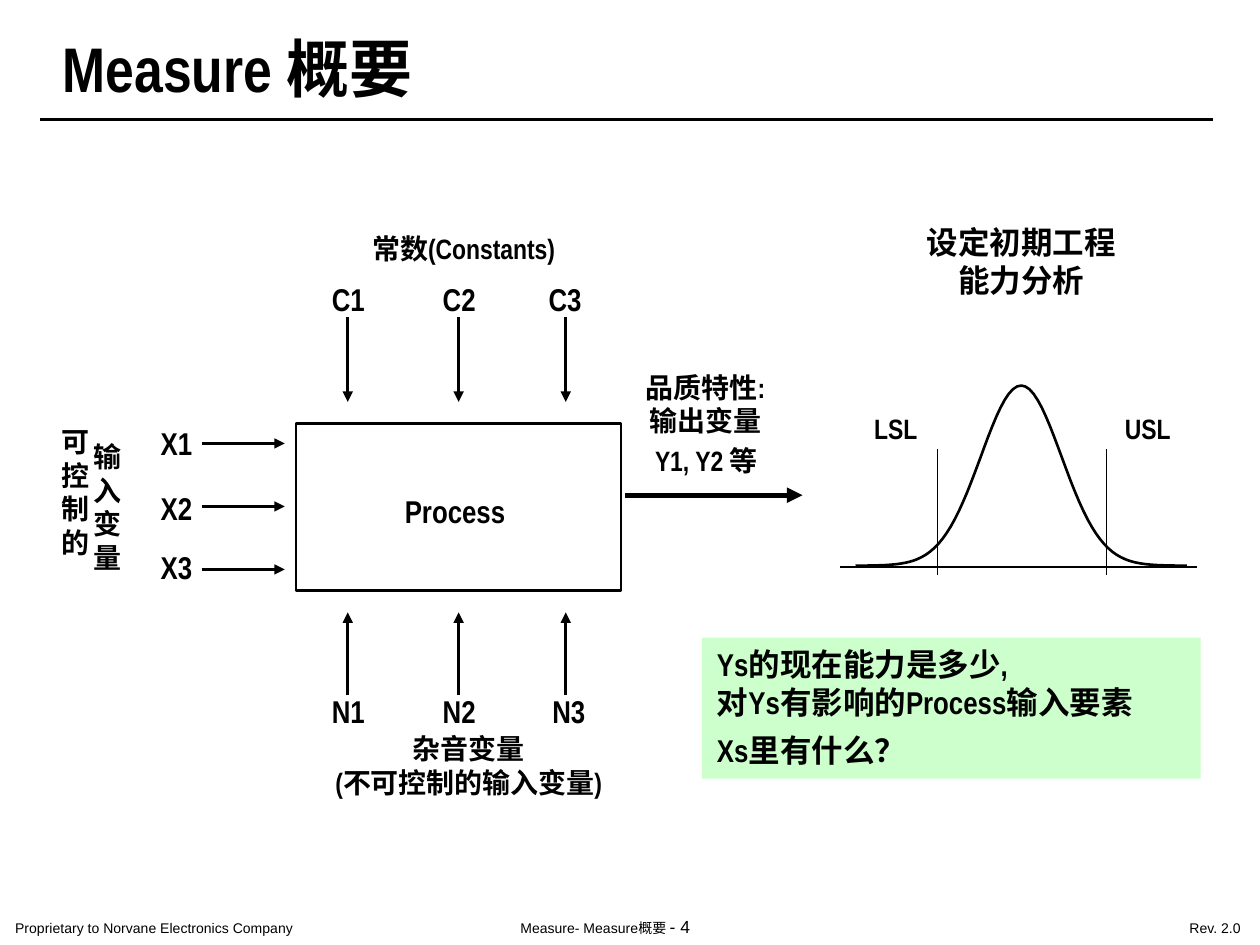
"""Build the Measure overview slide: process inputs, outputs and capability curve."""
import math
from dataclasses import dataclass

import pptx
import pptx.dml.color
import pptx.enum.shapes
import pptx.enum.text
import pptx.oxml.ns
import pptx.util
from lxml import etree

Inches = pptx.util.Inches
Pt = pptx.util.Pt
CENTER = pptx.enum.text.PP_ALIGN.CENTER
LEFT = pptx.enum.text.PP_ALIGN.LEFT


@dataclass(frozen=True)
class Theme:
    """Colours, fonts, type sizes and line widths."""
    ink: str = "000000"
    note: str = "CCFFCC"
    head_font: str = "Arial Narrow"
    foot_font: str = "Arial"
    title: int = 36
    large: int = 18
    label: int = 16
    page: int = 10
    foot: int = 8
    thin: float = 0.75
    line: float = 1.5
    thick: float = 3


THEME = Theme()


def rgb(value):
    """Return a colour from its hex value."""
    return pptx.dml.color.RGBColor.from_string(value)


def apply(obj, formats):
    """Set each attribute of an object from a dict."""
    for name, value in formats.items():
        setattr(obj, name, value)


def add_run(p, text, size, font, bold):
    """Add one run of formatted text to a paragraph."""
    r = p.add_run()
    r.text = text
    apply(r.font, {"size": Pt(size), "name": font, "bold": bold})
    r.font.color.rgb = rgb(THEME.ink)


def set_frame(tf, inset=0.1, wrap=True):
    """Set the insets, wrapping and anchor of a text frame."""
    apply(tf, {
        "margin_left": Inches(inset), "margin_right": Inches(inset),
        "margin_top": Inches(inset / 2), "margin_bottom": Inches(inset / 2),
        "word_wrap": wrap,
        "vertical_anchor": pptx.enum.text.MSO_ANCHOR.TOP,
    })


def add_text(s, box, text, size=THEME.label, align=CENTER):
    """Add a bold label, one line break per newline."""
    sp = s.shapes.add_textbox(*map(Inches, box))
    set_frame(sp.text_frame)
    p = sp.text_frame.paragraphs[0]
    p.alignment = align
    for i, line in enumerate(text.split("\n")):
        if i:
            p.add_line_break()
        add_run(p, line, size, THEME.head_font, True)
    return p


def add_footer(s, box, parts, wrap=True):
    """Add a footer text made of (text, size) parts."""
    sp = s.shapes.add_textbox(*map(Inches, box))
    set_frame(sp.text_frame, 0.12, wrap)
    for text, size in parts:
        add_run(sp.text_frame.paragraphs[0], text, size, THEME.foot_font, False)


def add_line(s, start, end, width=THEME.line, arrow=False):
    """Add a straight line, with an arrowhead at its end if asked."""
    sp = s.shapes.add_connector(
        pptx.enum.shapes.MSO_CONNECTOR.STRAIGHT, *map(Inches, (*start, *end)))
    sp.line.color.rgb = rgb(THEME.ink)
    sp.line.width = Pt(width)
    if arrow:
        ln = sp.line._get_or_add_ln()
        etree.SubElement(ln, pptx.oxml.ns.qn("a:tailEnd"), type="triangle")
    etree.SubElement(sp._element.spPr, pptx.oxml.ns.qn("a:effectLst"))


def style_shape(sp, fill=None, outline=True):
    """Give a shape its fill and outline, without a shadow."""
    sp.shadow.inherit = False
    if fill:
        sp.fill.solid()
        sp.fill.fore_color.rgb = rgb(fill)
    else:
        sp.fill.background()
    if outline:
        sp.line.color.rgb = rgb(THEME.ink)
        sp.line.width = Pt(THEME.line)
    else:
        sp.line.fill.background()


def add_rect(s, box, fill=None, outline=True):
    """Add a plain rectangle."""
    sp = s.shapes.add_shape(
        pptx.enum.shapes.MSO_SHAPE.RECTANGLE, *map(Inches, box))
    style_shape(sp, fill, outline)
    return sp


def add_question(s):
    """Add the green box with the key question."""
    tf = add_rect(s, (5.57, 5.06, 3.96, 1.12), THEME.note, False).text_frame
    set_frame(tf, 0.12)
    lines = [("Ys的现在能力是多少,", 0), ("对Ys有影响的Process输入要素", 0),
             ("Xs里有什么？", 6)]
    for i, (text, before) in enumerate(lines):
        p = tf.add_paragraph() if i else tf.paragraphs[0]
        apply(p, {"alignment": LEFT, "space_before": Pt(before)})
        add_run(p, text, THEME.large, THEME.head_font, True)


def add_process(s):
    """Add the process box with its inputs, constants, noise and output."""
    add_rect(s, (2.35, 3.36, 2.58, 1.33))
    add_text(s, (2.6, 3.86, 2.08, 0.4), "Process ", THEME.large)
    for i, top in enumerate((3.32, 3.83, 4.3)):
        y = 3.52 + 0.5 * i
        add_text(s, (1.13, top, 0.54, 0.4), f"X{i + 1}", THEME.large)
        add_line(s, (1.6, y), (2.26, y), arrow=True)
    columns = [(2.76, 2.43, 2.43), (3.64, 3.31, 3.31), (4.49, 4.15, 4.18)]
    for i, (x, c_left, n_left) in enumerate(columns, 1):
        add_text(s, (c_left, 2.17, 0.67, 0.4), f"C{i}", THEME.large)
        add_line(s, (x, 2.52), (x, 3.19), arrow=True)
        add_text(s, (n_left, 5.44, 0.67, 0.4), f"N{i}", THEME.large)
        add_line(s, (x, 5.52), (x, 4.86), arrow=True)
    add_text(s, (2.39, 1.79, 2.58, 0.37), "常数(Constants)")
    add_text(s, (2.32, 5.76, 2.8, 0.64), "杂音变量\n(不可控制的输入变量)")
    add_text(s, (0.39, 3.32, 0.43, 1.17), "可控制的", align=LEFT)
    add_text(s, (0.64, 3.44, 0.43, 1.17), "输入变量", align=LEFT)
    add_text(s, (4.64, 2.89, 1.92, 0.64), "品质特性:\n输出变量")
    add_text(s, (5.1, 3.47, 1.58, 0.37), "Y1, Y2 等", align=LEFT)
    add_line(s, (4.96, 3.93), (6.37, 3.93), THEME.thick, True)


def add_capability(s):
    """Add the normal curve with its specification limits."""
    left, right, base, height, sigma, steps = 6.79, 9.42, 4.49, 1.43, 0.32, 80
    mean = (left + right) / 2
    xs = [left + (right - left) * i / steps for i in range(steps + 1)]
    points = [(Inches(x), Inches(
        base - height * math.exp(-((x - mean) / sigma) ** 2 / 2))) for x in xs]
    fb = s.shapes.build_freeform(*points[0], scale=1.0)
    fb.add_line_segments(points[1:], close=False)
    style_shape(fb.convert_to_shape())
    add_line(s, (6.67, 4.5), (9.5, 4.5))
    for name, x, text_left in (("LSL", 7.44, 6.61), ("USL", 8.78, 8.61)):
        add_line(s, (x, 4.56), (x, 3.56), THEME.thin)
        add_text(s, (text_left, 3.22, 1, 0.37), name)
    add_text(s, (7.19, 1.72, 1.83, 0.7), "设定初期工程能力分析", THEME.large)


def main():
    """Build and save the slide."""
    prs = pptx.Presentation()
    apply(prs, {"slide_width": Inches(10), "slide_height": Inches(7.5)})
    s = prs.slides.add_slide(prs.slide_layouts[6])
    add_footer(s, (0, 7.24, 3.21, 0.25),
               [("Proprietary to Norvane Electronics Company", THEME.foot)])
    add_footer(s, (4.01, 7.21, 2.2, 0.29),
               [("Measure- Measure概要 ", THEME.foot), ("- 4", THEME.page)])
    add_footer(s, (9.32, 7.24, 0.66, 0.25), [("Rev. 2.0", THEME.foot)], False)
    add_line(s, (0.32, 0.95), (9.63, 0.95))
    title = add_text(s, (0.4, 0.25, 5.44, 0.61), "Measure 概要", THEME.title, LEFT)
    title.line_spacing = 0.9
    add_question(s)
    add_process(s)
    add_capability(s)
    prs.save("out.pptx")


if __name__ == "__main__":
    main()
